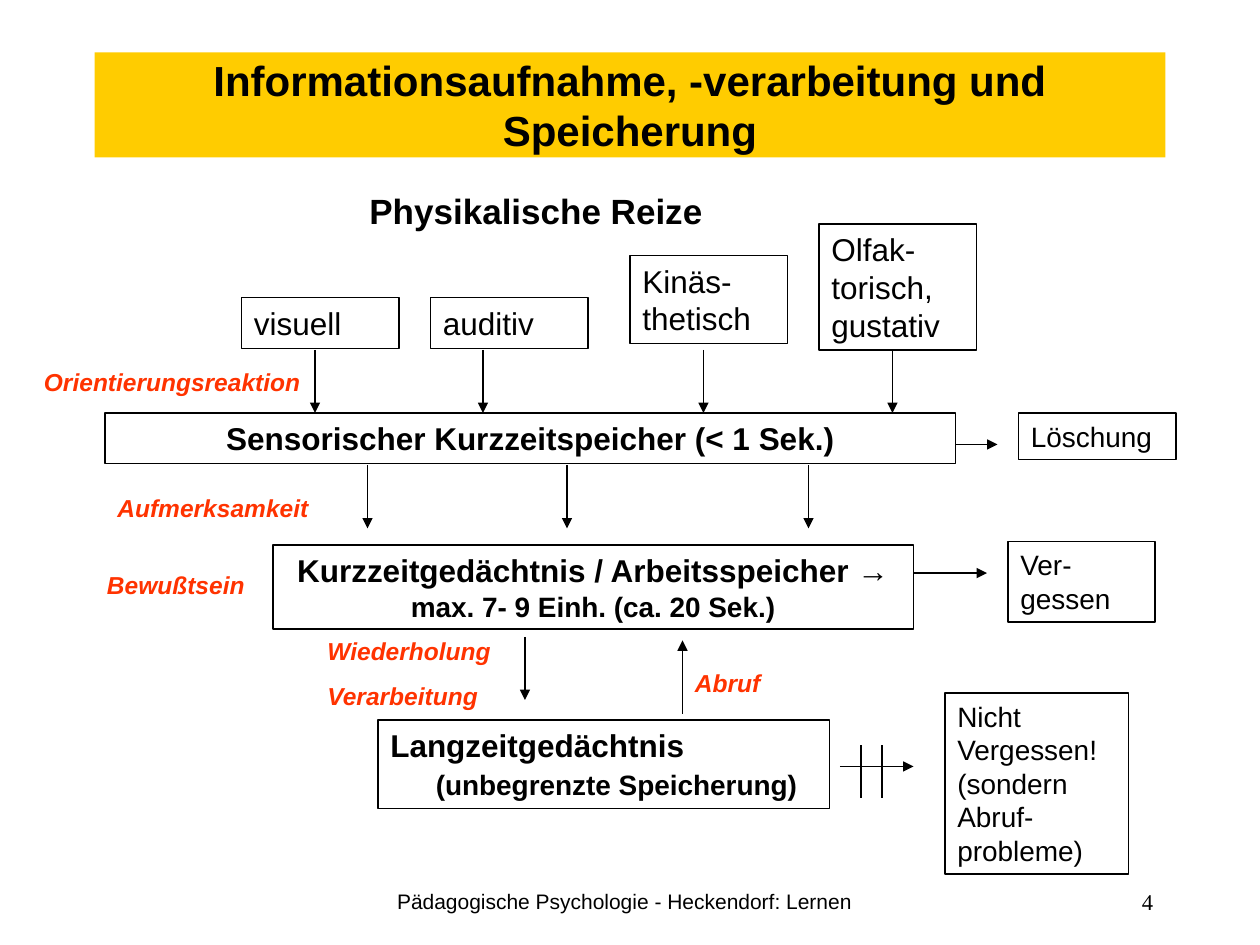
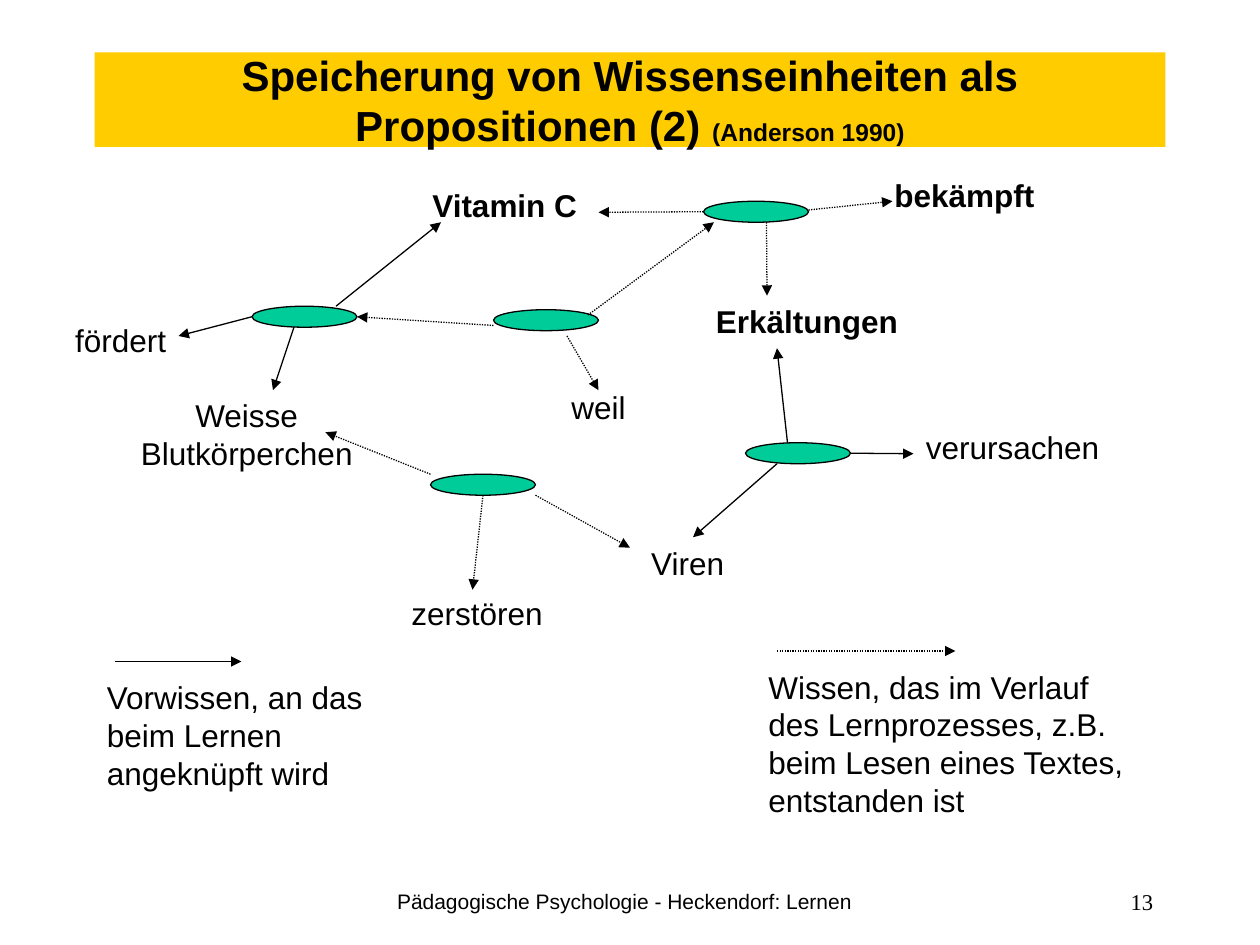
"""Two lecture slides on memory stages and propositional networks."""
from lxml.etree import SubElement
from pptx import Presentation
from pptx.dml.color import RGBColor
from pptx.enum.dml import MSO_LINE
from pptx.enum.shapes import MSO_CONNECTOR, MSO_SHAPE
from pptx.enum.text import MSO_ANCHOR, MSO_AUTO_SIZE, PP_ALIGN
from pptx.oxml.ns import qn
from pptx.util import Pt

COLORS = {"black": "000000", "title": "FFCC00", "node": "00CC99", "process": "FF3300"}
STYLES = {
    "title": {"size": Pt(24), "bold": True},
    "citation": {"size": Pt(14), "bold": True},
    "heading": {"size": Pt(20), "bold": True},
    "label": {"size": Pt(18)},
    "strong": {"size": Pt(18), "bold": True},
    "detail": {"size": Pt(16), "bold": True},
    "outcome": {"size": Pt(16)},
    "process": {"size": Pt(14), "bold": True, "italic": True},
    "footer": {"size": Pt(12)},
    "number": {"size": Pt(12.9), "name": "Times New Roman"},
}
LEFT, CENTER, RIGHT = PP_ALIGN.LEFT, PP_ALIGN.CENTER, PP_ALIGN.RIGHT
FOOTER = "Pädagogische Psychologie - Heckendorf: Lernen"


def rgb(name):
    return RGBColor.from_string(COLORS[name])


def add_run(p, text, style):
    r = p.add_run()
    r.text = text
    for key, value in {"name": "Arial", **STYLES[style]}.items():
        setattr(r.font, key, value)
    r.font.color.rgb = rgb("process" if style == "process" else "black")


def fill_text(sp, lines, align, gap=0):
    tf = sp.text_frame
    tf.word_wrap = True
    tf.vertical_anchor = MSO_ANCHOR.TOP
    for i, (text, style) in enumerate(lines):
        p = tf.add_paragraph() if i else tf.paragraphs[0]
        p.alignment = align
        p.space_before = Pt(gap if i else 0)
        add_run(p, text, style)


def outline(line):
    line.color.rgb = rgb("black")
    line.width = Pt(0.75)


def add_text(slide, box, *lines, align=LEFT, gap=0):
    sp = slide.shapes.add_textbox(*map(Pt, box))
    fill_text(sp, lines, align, gap)


def add_box(slide, box, *lines, align=LEFT):
    sp = slide.shapes.add_shape(MSO_SHAPE.RECTANGLE, *map(Pt, box))
    sp.shadow.inherit = False
    sp.fill.background()
    outline(sp.line)
    fill_text(sp, lines, align)
    return sp


def add_node(slide, x, y):
    sp = slide.shapes.add_shape(MSO_SHAPE.OVAL, Pt(x), Pt(y), Pt(60), Pt(12))
    sp.shadow.inherit = False
    sp.fill.solid()
    sp.fill.fore_color.rgb = rgb("node")
    outline(sp.line)


def add_line(slide, ends, dotted=False, arrow=True):
    sp = slide.shapes.add_connector(MSO_CONNECTOR.STRAIGHT, *map(Pt, ends))
    outline(sp.line)
    if dotted:
        sp.line.dash_style = MSO_LINE.ROUND_DOT
    if arrow:
        SubElement(sp.line._get_or_add_ln(), qn("a:tailEnd"), type="triangle")
    SubElement(sp._element.spPr, qn("a:effectLst"))


def add_slide(prs, number, height, *title_runs):
    slide = prs.slides.add_slide(prs.slide_layouts[5])
    sp = slide.shapes.title
    sp.left, sp.top, sp.width, sp.height = map(Pt, (54, 30, 612, height))
    sp.fill.solid()
    sp.fill.fore_color.rgb = rgb("title")
    tf = sp.text_frame
    tf.auto_size = MSO_AUTO_SIZE.NONE
    tf.vertical_anchor = MSO_ANCHOR.MIDDLE
    p = tf.paragraphs[0]
    p.alignment = CENTER
    for text, style in title_runs:
        add_run(p, text, style)
    add_text(slide, (198, 504, 318, 24), (FOOTER, "footer"), align=CENTER)
    add_text(slide, (516, 504, 150, 24), (number, "number"), align=RIGHT)
    return slide


def build_memory_slide(prs):
    s = add_slide(prs, "4", 60, ("Informationsaufnahme, -verarbeitung und Speicherung", "title"))
    add_text(s, (204, 104.5, 210, 31.5), ("Physikalische Reize", "heading"))
    stimuli = [("visuell", 138, 170, 29), ("auditiv", 246, 170, 29),
               ("Kinäs-thetisch", 360, 146, 50.5), ("Olfak-torisch, gustativ", 468, 128, 72)]
    for text, x, y, h in stimuli:
        add_box(s, (x, y, 90, h), (text, "label"))

    add_box(s, (60, 236, 486, 29), ("Sensorischer Kurzzeitspeicher (< 1 Sek.)", "strong"),
            align=CENTER)
    add_box(s, (156, 311.5, 366, 48), ("Kurzzeitgedächtnis / Arbeitsspeicher →", "strong"),
            ("max. 7- 9 Einh. (ca. 20 Sek.)", "detail"), align=CENTER)
    sp = add_box(s, (216, 411.5, 258, 50.5), ("Langzeitgedächtnis", "strong"),
                 ("(unbegrenzte Speicherung)", "detail"))
    p = sp.text_frame.paragraphs[1]
    p.space_before = Pt(2)
    p._p.get_or_add_pPr().set("marL", str(Pt(26)))

    outcomes = [("Löschung", (582, 236, 90, 26.5)), ("Ver-gessen", (576, 309.5, 84, 46)),
                ("Nicht Vergessen! (sondern Abruf-probleme)", (540, 396, 105, 103.5))]
    for text, box in outcomes:
        add_box(s, box, (text, "outcome"))

    processes = [("Orientierungsreaktion", 18, 206, 162), ("Aufmerksamkeit", 60, 278, 138),
                 ("Bewußtsein", 54, 322, 96), ("Abruf", 390, 378, 108)]
    for text, x, y, w in processes:
        add_text(s, (x, y, w, 24.5), (text, "process"))
    add_text(s, (180, 360, 114, 50), ("Wiederholung", "process"),
             ("Verarbeitung", "process"), gap=8.8)

    for y, columns in [(200, (180, 276, 402, 510)), (266, (210, 324, 462)), (364, (300,))]:
        for x in columns:
            add_line(s, (x, y, x, y + 36))
    add_line(s, (390, 408, 390, 366))
    for x, y, end in [(546, 254, 570), (522, 327.5, 564), (480, 438, 522)]:
        add_line(s, (x, y, end, y))
    for x in (492, 504):
        add_line(s, (x, 426, x, 456), arrow=False)


def build_proposition_slide(prs):
    s = add_slide(prs, "13", 54,
                  ("Speicherung von Wissenseinheiten als Propositionen (2) ", "title"),
                  ("(Anderson 1990)", "citation"))
    for x, y in [(282, 177), (402, 115), (144, 175), (426, 253), (246, 271)]:
        add_node(s, x, y)

    concepts = [
        ("Vitamin C", (240, 103, 102, 29), "strong", LEFT),
        ("bekämpft", (504, 97, 102, 29), "strong", LEFT),
        ("Erkältungen", (402, 169, 120, 29), "strong", LEFT),
        ("Weisse Blutkörperchen", (72, 223, 138, 50.5), "label", CENTER),
        ("fördert", (18, 180, 102, 29), "label", CENTER),
        ("weil", (291, 218, 102, 29), "label", CENTER),
        ("Viren", (342, 307.5, 102, 29), "label", CENTER),
        ("zerstören", (228, 336, 102, 29), "label", LEFT),
        ("verursachen", (522, 241, 114, 29), "label", LEFT),
        ("Vorwissen, an das beim Lernen angeknüpft wird", (54, 384, 192, 72), "label", LEFT),
        ("Wissen, das im Verlauf des Lernprozesses, z.B. beim Lesen eines Textes, "
         "entstanden ist", (432, 378, 222, 94), "label", LEFT),
    ]
    for text, box, style, align in concepts:
        add_text(s, box, (text, style), align=align)

    prior = [(486, 259, 522, 259.3), (444, 265, 396, 307), (450, 253, 444, 199),
             (192, 175, 252, 127), (144, 181, 102, 192), (168, 187, 156, 223),
             (66, 378, 138, 378)]
    acquired = [(462, 120, 510, 115), (402, 121, 342, 121.3), (438, 127, 438.3, 169),
                (324, 192, 342, 223), (336, 180, 408, 127), (246, 271, 186, 247),
                (276, 283, 270, 337), (306, 283, 360, 313), (282, 186, 204, 181),
                (444, 372, 546, 372)]
    for ends in prior:
        add_line(s, ends)
    for ends in acquired:
        add_line(s, ends, dotted=True)


def main():
    prs = Presentation()
    prs.slide_width, prs.slide_height = Pt(720), Pt(540)
    build_memory_slide(prs)
    build_proposition_slide(prs)
    prs.save("out.pptx")


if __name__ == "__main__":
    main()
